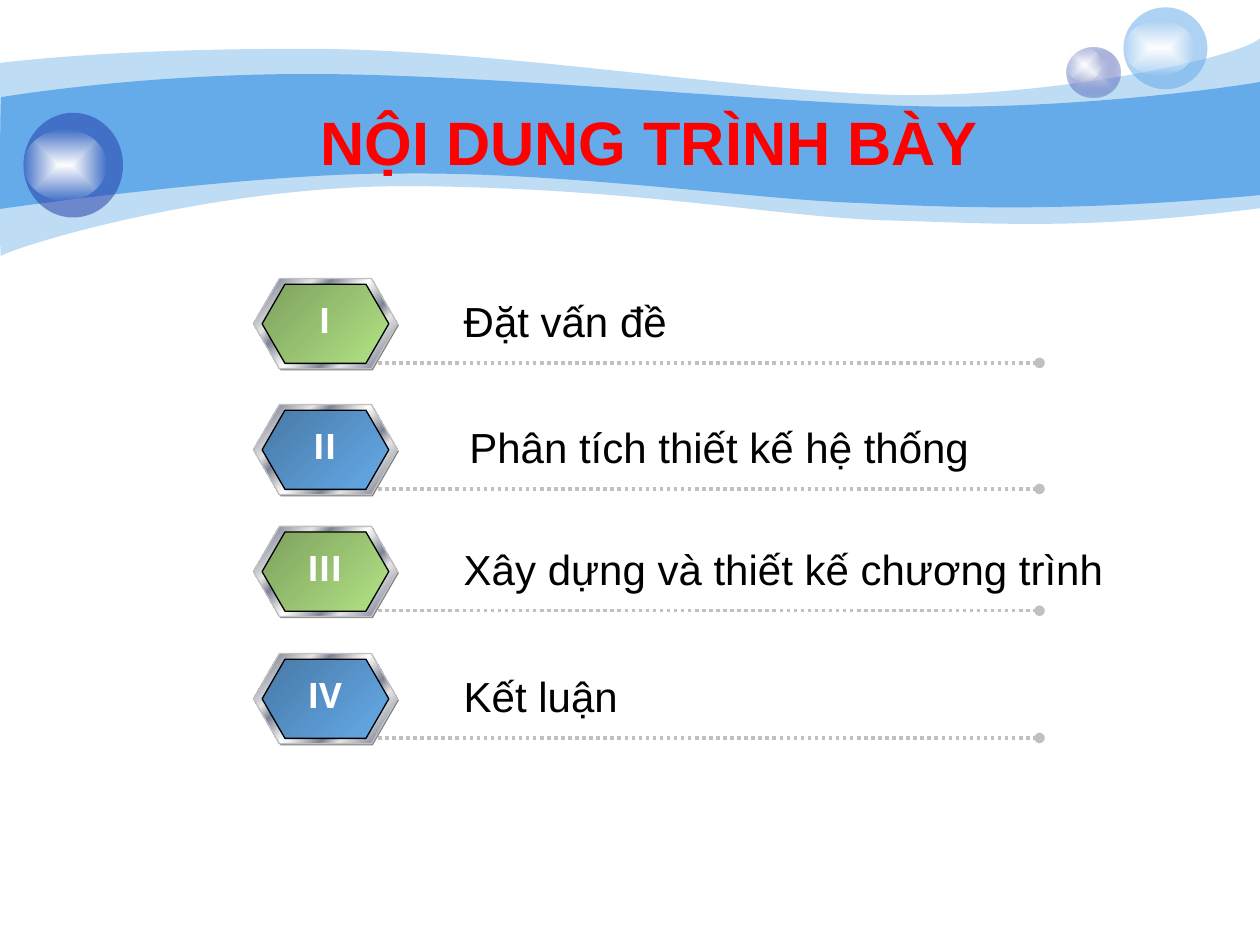
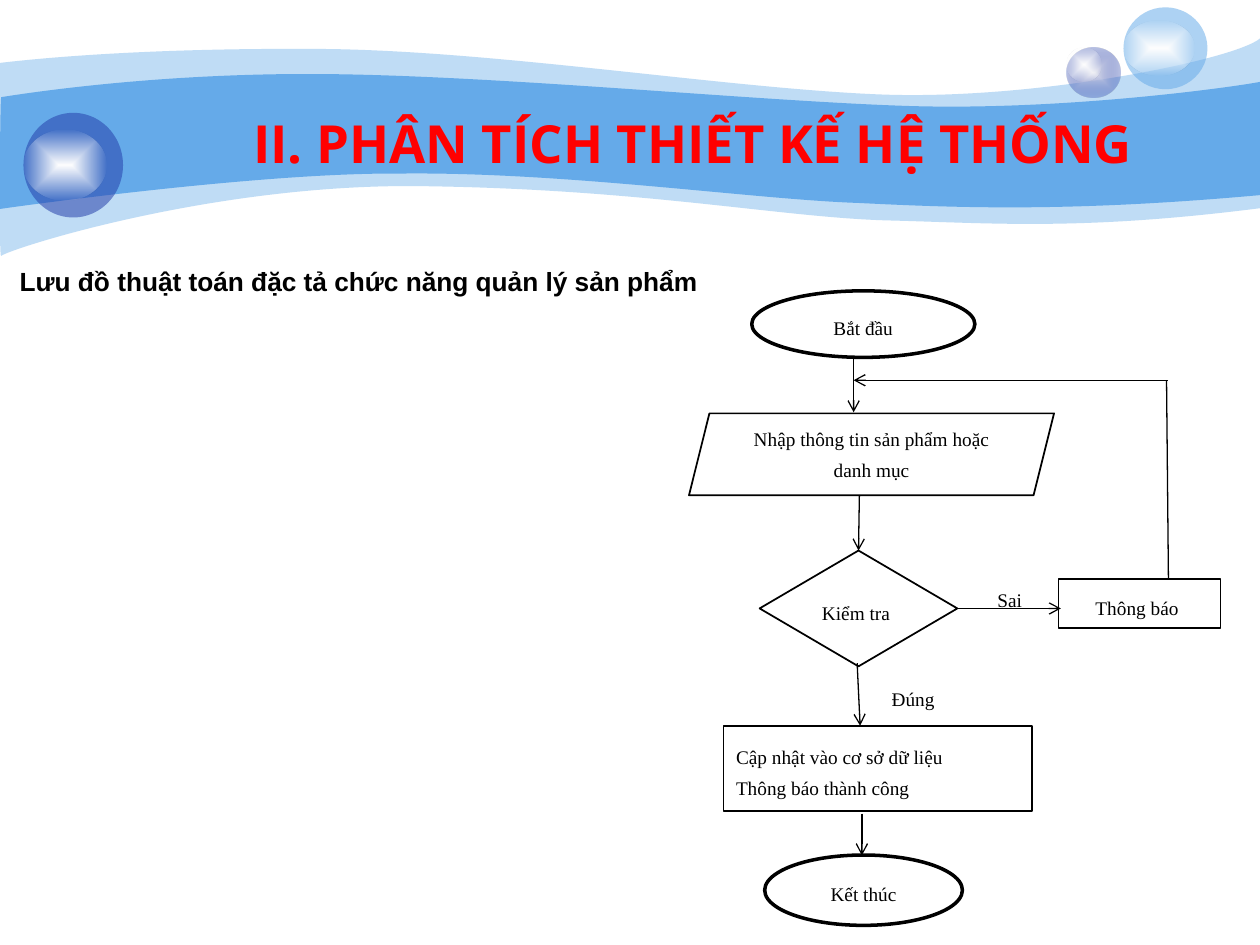
from lxml import etree
from pptx import Presentation
from pptx.dml.color import RGBColor
from pptx.enum.dml import MSO_LINE
from pptx.enum.shapes import MSO_CONNECTOR, MSO_SHAPE
from pptx.enum.text import MSO_ANCHOR, PP_ALIGN
from pptx.oxml import parse_xml
from pptx.oxml.ns import nsdecls, qn
from pptx.util import Pt

OVAL = MSO_SHAPE.OVAL
RECT = MSO_SHAPE.RECTANGLE
DIAMOND = MSO_SHAPE.DIAMOND
HEXAGON = MSO_SHAPE.HEXAGON
PARALLELOGRAM = MSO_SHAPE.PARALLELOGRAM
STRAIGHT = MSO_CONNECTOR.STRAIGHT
DOTTED = MSO_LINE.ROUND_DOT
SOLID = MSO_LINE.SOLID
MIDDLE = MSO_ANCHOR.MIDDLE
LEFT = PP_ALIGN.LEFT
CENTER = PP_ALIGN.CENTER

rgb = RGBColor.from_string
BLUE, NAVY, GREEN, GREY = "65AAE9", "233DA9", "B2E385", "C0C0C0"
WHITE, BLACK, RED = "FFFFFF", "000000", "FF0000"
GLOSS = [(0, WHITE, 100), (100, WHITE, 0)]
METAL = [(0, "E6E6E6", 100), (8, "7D8496", 100), (26, "E6E6E6", 100),
         (34, "7D8496", 100), (46, "E6E6E6", 100), (50, WHITE, 100),
         (54, "E6E6E6", 100), (66, "7D8496", 100), (74, "E6E6E6", 100),
         (92, "7D8496", 100), (100, "E6E6E6", 100)]
GREEN_FACE = [(0, GREEN, 100, 46), (100, GREEN, 100)]
BLUE_FACE = [(0, BLUE, 100, 46), (100, BLUE, 100)]

TITLE = {"size": Pt(35), "name": "Arial", "bold": True}
SECTION_TITLE = {"size": Pt(30), "name": "Open Sans", "bold": True}
SUBTITLE = {"size": Pt(15), "name": "Arial", "bold": True}
ITEM = {"size": Pt(24), "name": "Arial"}
NUMERAL = {"size": Pt(20), "name": "Open Sans", "bold": True}
NODE = {"size": Pt(11), "name": "Times New Roman"}
NODE_PARA = {"alignment": CENTER, "line_spacing": 1.35,
             "space_before": Pt(3), "space_after": Pt(3)}
STEP_PARA = {"alignment": LEFT, "line_spacing": 1.35}


def paint(sp, stops, line=None, width=0.75, angle=None):
    sp.shadow.inherit = False
    sp.fill.solid()
    colours = []
    for _, colour, alpha, *shades in stops:
        effects = "".join(f'<a:shade val="{v * 1000}"/>' for v in shades)
        if alpha < 100:
            effects += f'<a:alpha val="{alpha * 1000}"/>'
        colours.append(f'<a:srgbClr val="{colour}">{effects}</a:srgbClr>')
    if len(stops) == 1:
        xml = f'<a:solidFill {nsdecls("a")}>{colours[0]}</a:solidFill>'
    else:
        gs = "".join(f'<a:gs pos="{stop[0] * 1000}">{c}</a:gs>'
                     for stop, c in zip(stops, colours))
        if angle is None:
            course = ('<a:path path="shape"><a:fillToRect l="50000" t="50000" '
                      'r="50000" b="50000"/></a:path>')
        else:
            course = f'<a:lin ang="{angle * 60000}" scaled="1"/>'
        xml = (f'<a:gradFill {nsdecls("a")} rotWithShape="1">'
               f'<a:gsLst>{gs}</a:gsLst>{course}</a:gradFill>')
    spPr = sp._element.spPr
    spPr.replace(spPr.find(qn("a:solidFill")), parse_xml(xml))
    if line:
        sp.line.color.rgb = rgb(line)
        sp.line.width = Pt(width)
    else:
        sp.line.fill.background()


def write(sp, lines, font, colour, para, wrap=True):
    tf = sp.text_frame
    tf.word_wrap = wrap
    for i, text in enumerate(lines):
        p = tf.add_paragraph() if i else tf.paragraphs[0]
        for key, value in para.items():
            setattr(p, key, value)
        r = p.add_run()
        r.text = text
        for key, value in font.items():
            setattr(r.font, key, value)
        r.font.color.rgb = rgb(colour)


prs = Presentation()
prs.slide_width, prs.slide_height = Pt(720), Pt(540)

waves = [
    (41, [(0, 36), (17, 34, 77, 27.5, 178, 28), (278, 28, 414, 50.5, 503, 54),
          (592, 57.5, 706, 34, 720, 22), (720, 119),
          (618, 132, 567, 127.5, 508, 126), (448, 124.5, 371, 108.5, 247, 106.5),
          (124, 103.5, 3, 143, 0.7, 146.3), (-0.7, 150, 0, 54, 0, 36)]),
    (100, [(0.7, 55.5), (1.4, 55.5, 79, 42, 178.5, 42.3),
           (278, 42.5, 428, 57.5, 517, 60.5), (606, 63.5, 703, 50, 720, 46.8),
           (720, 111.5), (614, 121, 551, 119, 491, 116),
           (431, 114, 322, 98, 228, 99.2), (146, 98.5, -1.4, 119.5, -0.7, 119.5),
           (0, 119.5, 0, 55.5, 0.7, 55.5)]),
]
bubbles = [
    (609.5, 27, 30.5, 29, [(0, "E1E2ED", 100), (100, NAVY, 31)]),
    (609.5, 27, 20, 19.5, GLOSS),
    (642, 4.2, 48, 46.8, [(0, BLUE, 53)]),
    (642, 12.1, 40.3, 31, GLOSS),
    (13.4, 64.5, 56.9, 59.8, [(0, NAVY, 53)]),
    (13.4, 74.2, 47.5, 40.3, GLOSS),
]
titles = [
    ("NỘI DUNG TRÌNH BÀY", (106.9, 56.2, 528, 49.7), TITLE),
    ("II. PHÂN TÍCH THIẾT KẾ HỆ THỐNG", (36, 59.8, 720, 44), SECTION_TITLE),
]
for title, box, font in titles:
    s = prs.slides.add_slide(prs.slide_layouts[6])
    for alpha, segments in waves:
        points = [(Pt(seg[i]), Pt(seg[i + 1]))
                  for seg in segments for i in range(0, len(seg), 2)]
        builder = s.shapes.build_freeform(*points[0])
        builder.add_line_segments(points[1:], close=True)
        sp = builder.convert_to_shape()
        corners = iter(list(sp._element.iter(qn("a:lnTo"))))
        for segment in segments[1:]:
            corner = next(corners)
            if len(segment) == 6:
                corner.tag = qn("a:cubicBezTo")
                for _ in range(2):
                    extra = next(corners)
                    corner.append(extra[0])
                    extra.getparent().remove(extra)
        paint(sp, [(0, BLUE, alpha)])
    for x, y, w, h, stops in bubbles:
        paint(s.shapes.add_shape(OVAL, Pt(x), Pt(y), Pt(w), Pt(h)), stops)
    write(s.shapes.add_textbox(*map(Pt, box)), [title], font, RED,
          {"alignment": CENTER})

agenda, flow = prs.slides

sp = flow.shapes.add_textbox(Pt(4.2), Pt(148.3), Pt(432), Pt(25))
write(sp, ["Lưu đồ thuật toán đặc tả chức năng quản lý sản phẩm"], SUBTITLE, BLACK,
      {"space_before": Pt(3)})

nodes = [
    (RECT, (551.5, 331.2, 51, 18.7), WHITE, 2, ["Sai"], NODE_PARA),
    (RECT, (492.3, 387, 59, 20.2), WHITE, 2, ["Đúng"], NODE_PARA),
    (OVAL, (429.6, 166.2, 127.5, 38), BLACK, 2, ["Bắt đầu"], NODE_PARA),
    (DIAMOND, (434.1, 314.6, 113, 66.2), BLACK, 1, ["Kiểm tra "], NODE_PARA),
    (RECT, (604.8, 330.9, 92.6, 28), BLACK, 1, ["Thông báo "], NODE_PARA),
    (PARALLELOGRAM, (393.7, 236.2, 208.6, 46.8), BLACK, 1,
     ["Nhập thông tin sản phẩm hoặc danh mục"], NODE_PARA),
    (RECT, (413.5, 414.8, 176.3, 48.7), BLACK, 1,
     ["Cập nhật vào cơ sở dữ liệu", "Thông báo thành công"], STEP_PARA),
    (OVAL, (437, 488.6, 113, 40.2), BLACK, 2, ["Kết thúc"], NODE_PARA),
]
placed = {}
for kind, box, line, width, lines, para in nodes:
    sp = flow.shapes.add_shape(kind, *map(Pt, box))
    paint(sp, [(0, WHITE, 100)], line, width)
    write(sp, lines, NODE, BLACK, para)
    sp.text_frame.vertical_anchor = MIDDLE
    placed[kind] = sp
check = placed[DIAMOND]
tf = placed[PARALLELOGRAM].text_frame
tf.margin_top, tf.margin_bottom = Pt(0), Pt(4.6)

row_tops = [159.2, 231.2, 300.8, 373.5]
dots = (GREY, 2, DOTTED, "oval")
arrow = (BLACK, 0.75, SOLID, "arrow")
plain = (BLACK, 0.75, SOLID, None)
links = [(agenda, (216, top + 48.2, 594, top + 48.2), dots, None, None)
         for top in row_tops]
links += [
    (flow, (489.8, 379, 491.5, 414.7), arrow, None, None),
    (flow, (547.1, 347.7, 606.2, 347.7), arrow, (check, 3), None),
    (flow, (667.4, 217.3, 487.8, 217.3), arrow, None, None),
    (flow, (492.5, 465, 492.5, 488.8), arrow, None, None),
    (flow, (666.6, 217.3, 667.7, 330.5), plain, None, None),
    (flow, (491.1, 283, 490.6, 314.6), arrow, None, (check, 0)),
    (flow, (487.8, 204.5, 487.8, 235.6), arrow, None, None),
]
for s, ends, (colour, width, dash, tail), begin, end in links:
    cx = s.shapes.add_connector(STRAIGHT, *map(Pt, ends))
    if begin:
        cx.begin_connect(*begin)
    if end:
        cx.end_connect(*end)
    cx.line.color.rgb = rgb(colour)
    cx.line.width = Pt(width)
    cx.line.dash_style = dash
    spPr = cx._element.spPr
    if tail:
        etree.SubElement(spPr.find(qn("a:ln")), qn("a:tailEnd"), type=tail)
    etree.SubElement(spPr, qn("a:effectLst"))

items = [
    ("I", "Đặt vấn đề", 257.9, 354, LEFT, GREEN_FACE),
    ("II", "Phân tích thiết kế hệ thống", 234, 354, CENTER, BLUE_FACE),
    ("III", "Xây dựng và thiết kế chương trình", 257.9, 394.6, LEFT, GREEN_FACE),
    ("IV", "Kết luận", 257.9, 324, LEFT, BLUE_FACE),
]
for top, (numeral, item, left, width, align, face) in zip(row_tops, items):
    sp = agenda.shapes.add_textbox(Pt(left), Pt(top + 6.4), Pt(width), Pt(36))
    write(sp, [item], ITEM, BLACK, {"alignment": align})
    layers = [
        (145.5, top + 0.9, 82.4, 51.6, [(0, "808080", 100)], None),
        (144.8, top, 82.4, 51.6, METAL, GREY),
        (149.8, top + 3.2, 72.4, 45.3, face, BLACK),
    ]
    for x, y, w, h, stops, line in layers:
        sp = agenda.shapes.add_shape(HEXAGON, Pt(x), Pt(y), Pt(w), Pt(h))
        sp.adjustments[0] = 0.289
        paint(sp, stops, line, angle=45)
    sp = agenda.shapes.add_textbox(Pt(149.6), Pt(top + 8), Pt(72), Pt(31.7))
    write(sp, [numeral], NUMERAL, WHITE, {"alignment": CENTER}, wrap=False)

prs.save("out.pptx")
